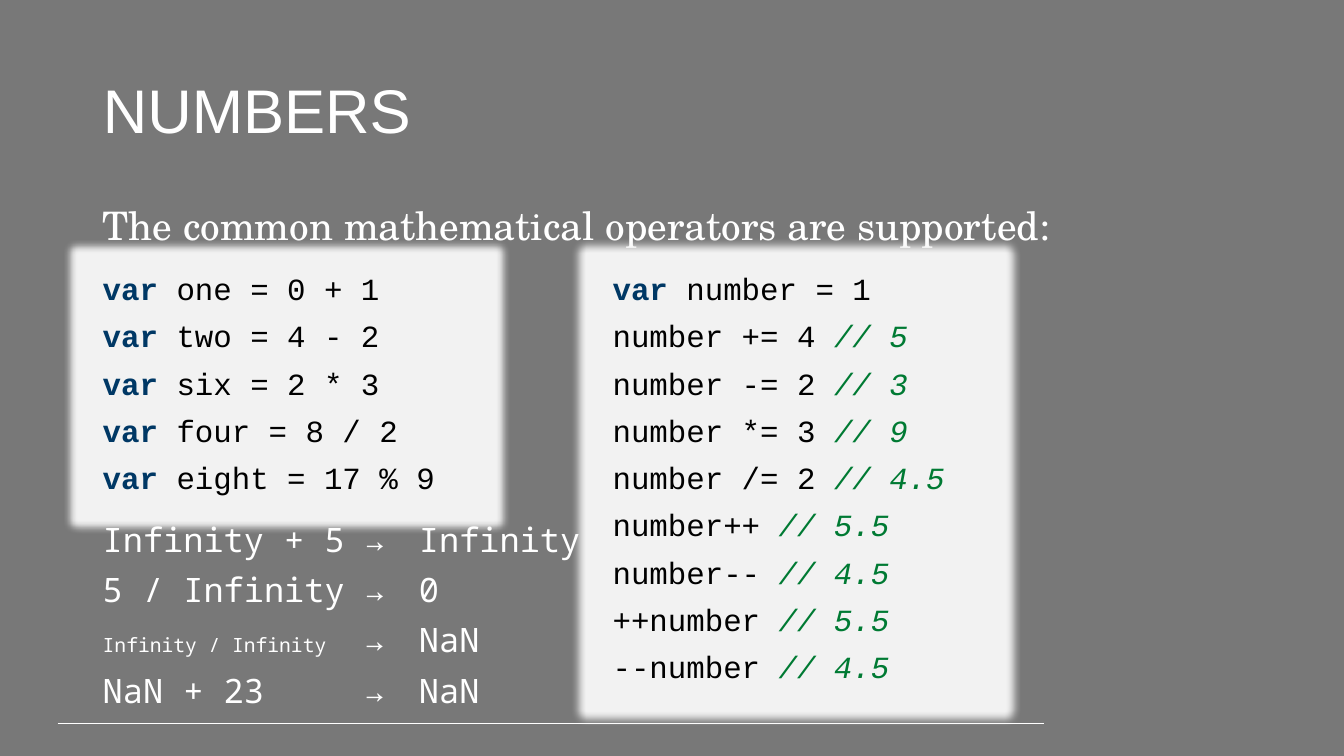
from lxml import etree
from pptx import Presentation
from pptx import util as u
from pptx.dml.color import RGBColor
from pptx.enum import shapes, text
from pptx.oxml import ns

Cm, Pt = u.Cm, u.Pt
HUES = {
    "back": "787878",
    "white": "FFFFFF",
    "panel": "F2F2F2",
    "code": "000000",
    "key": "003865",
    "note": "007A33",
}
MONO = "Noto Sans Mono"
LEFT = 2.34

SUMS = [
    "var one = 0 + 1",
    "var two = 4 - 2",
    "var six = 2 * 3",
    "var four = 8 / 2",
    "var eight = 17 % 9",
]
STEPS = [
    "var number = 1",
    "number += 4 // 5",
    "number -= 2 // 3",
    "number *= 3 // 9",
    "number /= 2 // 4.5",
    "number++ // 5.5",
    "number-- // 4.5",
    "++number // 5.5",
    "--number // 4.5",
]
TERMS = ["Infinity + 5 →", "5 / Infinity →", "Infinity / Infinity\t→", "NaN + 23\t→"]
VALUES = ["Infinity", "0", "NaN", "NaN"]


def hue(name):
    return RGBColor.from_string(HUES[name])


def style(font, face, size, name):
    font.name = face
    font.size = Pt(size)
    font.color.rgb = hue(name)


def add_sub(parent, tag, **attrs):
    return etree.SubElement(parent, ns.qn(tag), **attrs)


def set_frame(frame):
    frame.word_wrap = True
    frame.auto_size = text.MSO_AUTO_SIZE.NONE
    frame.vertical_anchor = text.MSO_ANCHOR.TOP


def add_paras(frame, count):
    for i in range(count):
        para = frame.add_paragraph() if i else frame.paragraphs[0]
        para.alignment = text.PP_ALIGN.LEFT
        para.line_spacing = 0.9
        para.space_before = Pt(10 if i else 0)
        yield para


def add_text(slide, box, lines, face, size):
    frame = slide.shapes.add_textbox(*map(Cm, box)).text_frame
    set_frame(frame)
    for para, line in zip(add_paras(frame, len(lines)), lines):
        term, tab, arrow = line.partition("\t")
        para.add_run().text = term
        if tab:
            stops = add_sub(para._p.get_or_add_pPr(), "a:tabLst")
            add_sub(stops, "a:tab", pos=str(Cm(6.6)), algn="l")
            para.add_run().text = tab + arrow
        style(para.font, face, size, "white")
    return frame


def add_code(slide, box, lines):
    panel = slide.shapes.add_shape(shapes.MSO_SHAPE.RECTANGLE, *map(Cm, box))
    panel.fill.solid()
    panel.fill.fore_color.rgb = hue("panel")
    panel.line.fill.background()
    panel.shadow.inherit = False
    effects = panel._element.spPr.find(ns.qn("a:effectLst"))
    glow = add_sub(effects, "a:glow", rad=str(Pt(11)))
    add_sub(glow, "a:srgbClr", val=HUES["panel"])
    frame = panel.text_frame
    set_frame(frame)
    for para, line in zip(add_paras(frame, len(lines)), lines):
        style(para.font, "Courier New", 22, "code")
        if line.startswith("var"):
            word = para.add_run()
            word.text = "var"
            word.font.bold = True
            word.font.color.rgb = hue("key")
            line = line[3:]
        body, mark, note = line.partition("//")
        para.add_run().text = body
        if mark:
            run = para.add_run()
            run.text = mark + note
            run.font.italic = True
            run.font.color.rgb = hue("note")


def add_rule(slide):
    rule = slide.shapes.add_connector(
        shapes.MSO_CONNECTOR.STRAIGHT, Cm(1.45), Cm(18.24), Cm(26.31), Cm(18.24))
    rule.line.color.rgb = hue("white")
    rule.line.width = Pt(0.75)
    add_sub(rule._element.spPr, "a:effectLst")


def set_title(slide, words):
    title = slide.shapes.title
    title.left, title.top = Cm(LEFT), Cm(1.02)
    title.width, title.height = Cm(29.21), Cm(3.68)
    frame = title.text_frame
    set_frame(frame)
    frame.vertical_anchor = text.MSO_ANCHOR.MIDDLE
    for para in add_paras(frame, 1):
        para.text = words
        style(para.font, "Arial", 44, "white")


def main():
    deck = Presentation()
    deck.slide_width, deck.slide_height = Cm(33.87), Cm(19.05)
    slide = deck.slides.add_slide(deck.slide_layouts.get_by_name("Title Only"))
    slide.background.fill.solid()
    slide.background.fill.fore_color.rgb = hue("back")
    add_rule(slide)
    set_title(slide, "NUMBERS")
    add_text(slide, (LEFT, 5.08, 29.21, 1.37),
             ["The common mathematical operators are supported:"],
             "TeX Gyre Schola", 28)
    add_code(slide, (LEFT, 6.78, 9.75, 5.92), SUMS)
    add_code(slide, (15.19, 6.78, 9.75, 10.72), STEPS)
    terms = add_text(slide, (LEFT, 13.06, 8, 5.03), TERMS, MONO, 24)
    terms.paragraphs[2].runs[0].font.size = Pt(14)
    add_text(slide, (10.31, 13.06, 4.62, 5.03), VALUES, MONO, 24)
    deck.save("out.pptx")


if __name__ == "__main__":
    main()
